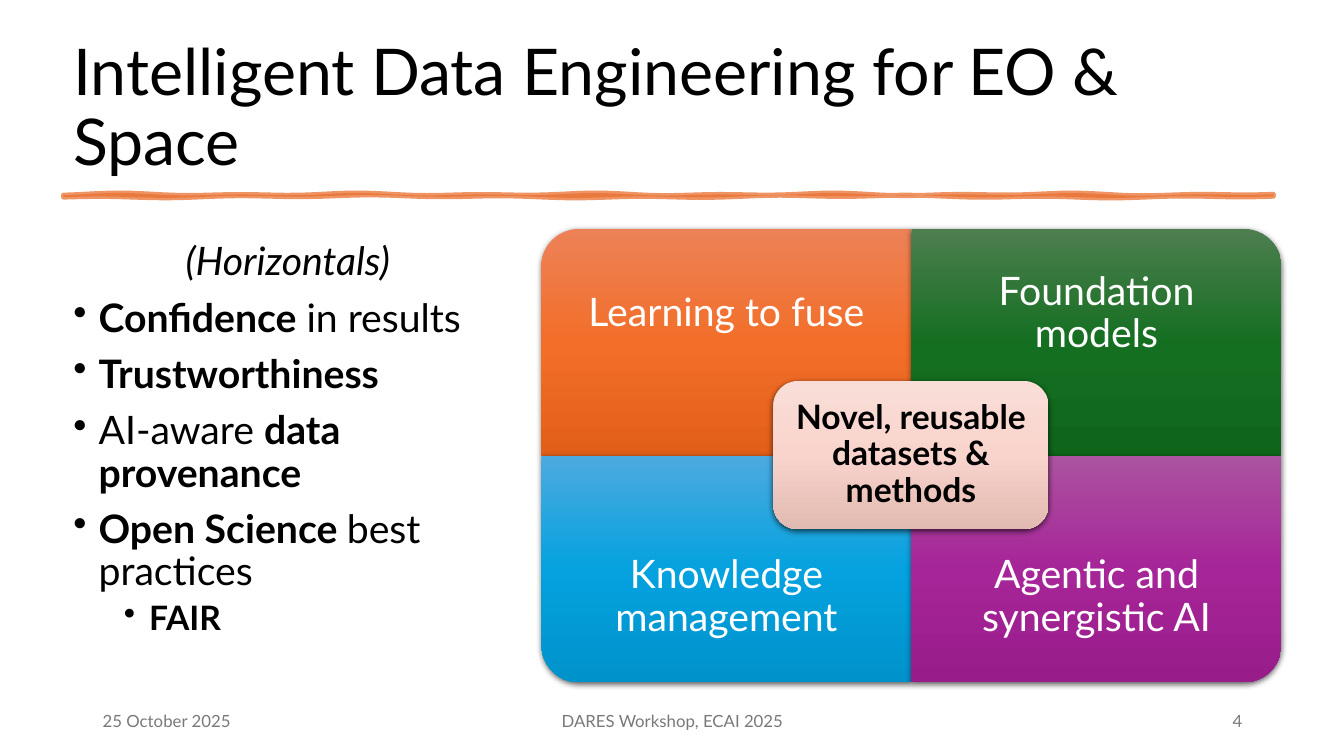
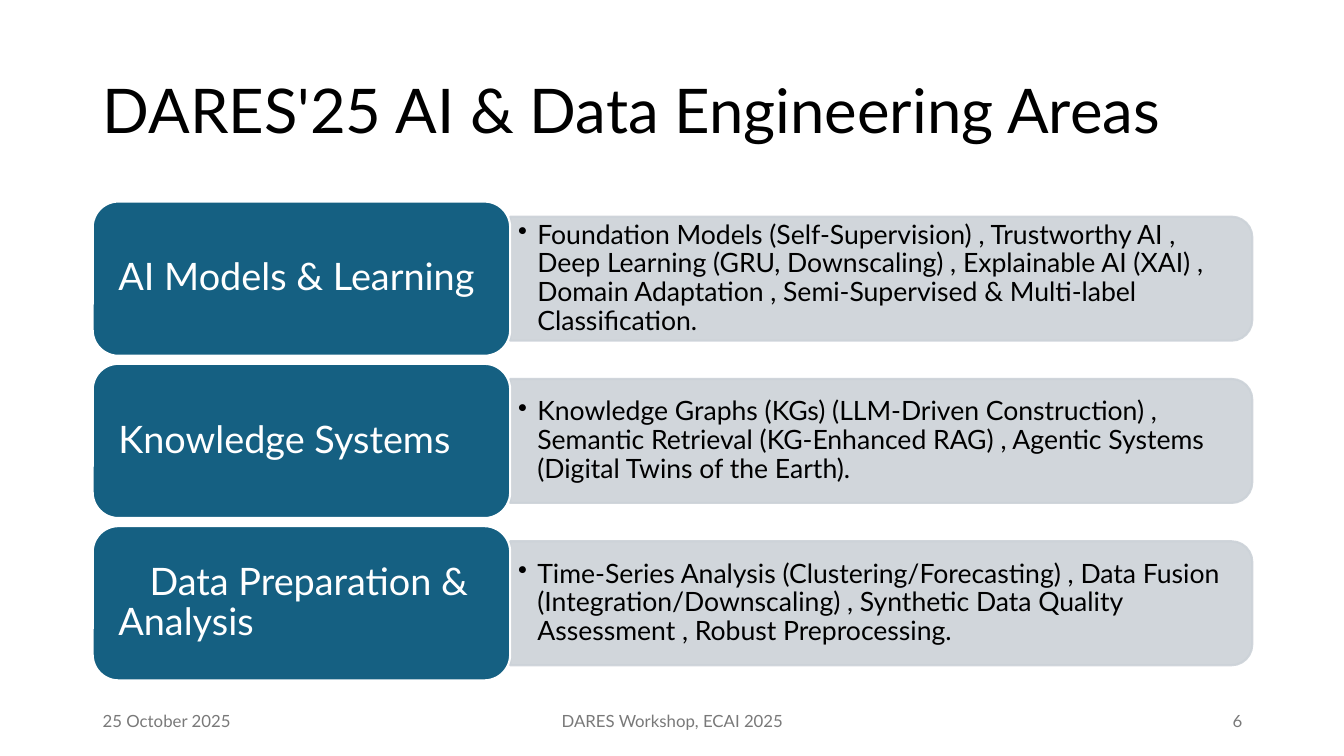
import math

from lxml import etree
from pptx import Presentation
from pptx.dml.color import RGBColor
from pptx.enum.shapes import MSO_SHAPE
from pptx.enum.text import MSO_ANCHOR, PP_ALIGN
from pptx.oxml import parse_xml
from pptx.oxml.ns import nsdecls, qn
from pptx.util import Inches, Pt

LEFT, CENTER, RIGHT = PP_ALIGN.LEFT, PP_ALIGN.CENTER, PP_ALIGN.RIGHT
TOP, MIDDLE, BOTTOM = MSO_ANCHOR.TOP, MSO_ANCHOR.MIDDLE, MSO_ANCHOR.BOTTOM
ROUND_RECT = MSO_SHAPE.ROUNDED_RECTANGLE
ROUND_ONE = MSO_SHAPE.ROUND_1_RECTANGLE
ROUND_SAME = MSO_SHAPE.ROUND_2_SAME_RECTANGLE

FONT = "Lato"
BLACK = RGBColor(0x00, 0x00, 0x00)
WHITE = RGBColor(0xFF, 0xFF, 0xFF)
FOOTER_GREY = RGBColor(0x79, 0x79, 0x79)
ORANGE = RGBColor(0xE9, 0x71, 0x32)
BAR_GREY = RGBColor(0xCC, 0xD2, 0xD8)
TEAL = RGBColor(0x15, 0x60, 0x82)

ORANGE_FADE = [RGBColor(0xED, 0x82, 0x57), RGBColor(0xF2, 0x6E, 0x29), RGBColor(0xE2, 0x5F, 0x1A)]
GREEN_FADE = [RGBColor(0x4D, 0x7E, 0x50), RGBColor(0x15, 0x6F, 0x21), RGBColor(0x0F, 0x66, 0x1B)]
BLUE_FADE = [RGBColor(0x4C, 0xAA, 0xDF), RGBColor(0x05, 0xA2, 0xDF), RGBColor(0x00, 0x92, 0xCB)]
PURPLE_FADE = [RGBColor(0xAC, 0x53, 0xA0), RGBColor(0xA6, 0x25, 0x98), RGBColor(0x99, 0x1C, 0x8B)]
PINK_FADE = [RGBColor(0xF9, 0xDE, 0xD8), RGBColor(0xF9, 0xD4, 0xCC), RGBColor(0xE1, 0xBA, 0xB1)]

prs = Presentation()
prs.slide_width, prs.slide_height = Inches(13.33), Inches(7.5)


def put_text(sp, paragraphs, size, color=BLACK, align=LEFT, anchor=MIDDLE,
             inset=(0.1, 0.05), bold=None, spacing=0.9):
    tf = sp.text_frame
    tf.word_wrap = True
    tf.vertical_anchor = anchor
    tf.margin_left = tf.margin_right = Inches(inset[0])
    tf.margin_top = tf.margin_bottom = Inches(inset[1])
    for i, runs in enumerate(paragraphs):
        p = tf.add_paragraph() if i else tf.paragraphs[0]
        p.alignment, p.line_spacing = align, spacing
        p.font.name, p.font.size, p.font.bold = FONT, Pt(size), bold
        p.font.color.rgb = color
        for text, strong in runs:
            r = p.add_run()
            r.text = text
            if strong:
                r.font.bold = True
    return tf.paragraphs


def add_bullet(p, margin, hang):
    pPr = p._p.get_or_add_pPr()
    pPr.set("marL", str(Inches(margin)))
    pPr.set("indent", str(-Inches(hang)))
    bullet = parse_xml(f'<a:buChar {nsdecls("a")} char="•"/>')
    pPr.insert_element_before(bullet, "a:tabLst", "a:defRPr", "a:extLst")


TITLES = [
    ("Intelligent Data Engineering for EO & Space", 46, (0.63, 0.26, 12.08, 1.57), BOTTOM, "4"),
    ("DARES'25 AI & Data Engineering Areas", 44, (0.92, 0.4, 11.5, 1.45), MIDDLE, "6"),
]
slides = []
for title, size, box, anchor, number in TITLES:
    s = prs.slides.add_slide(prs.slide_layouts[6])
    slides.append(s)
    sp = s.shapes.add_textbox(*map(Inches, box))
    put_text(sp, [[(title, False)]], size, anchor=anchor)
    for text, x, w, align in [("25 October 2025", 0.92, 3, LEFT),
                              ("DARES Workshop, ECAI 2025", 4.42, 4.5, CENTER),
                              (number, 9.42, 3, RIGHT)]:
        sp = s.shapes.add_textbox(Inches(x), Inches(6.95), Inches(w), Inches(0.4))
        put_text(sp, [[(text, False)]], 12, FOOTER_GREY, align, spacing=1)
horizontals, areas = slides
translucent = []

STEPS = 120
xs = [0.63 + 12 * i / STEPS for i in range(STEPS + 1)]
upper = [(Inches(x), Inches(1.93 + 0.015 * math.sin(4 * x) * math.sin(1.3 * x))) for x in xs]
lower = [(Inches(x), Inches(1.95 + 0.015 * math.sin(3 * x) * math.cos(1.7 * x))) for x in xs]
rule = horizontals.shapes.build_freeform(*upper[0])
rule.add_line_segments(upper[1:] + lower[::-1], close=True)
sp = rule.convert_to_shape()
sp.shadow.inherit = False
sp.fill.solid()
sp.fill.fore_color.rgb = sp.line.color.rgb = ORANGE
sp.line.width = Pt(3.5)
translucent.append((sp, 75))

points = [
    [("(Horizontals)", False)],
    [("Confidence", True), (" in results", False)],
    [("Trustworthiness", True)],
    [("AI-aware ", False), ("data provenance", True)],
    [("Open Science ", True), ("best practices", False)],
    [("FAIR", True)],
]
sp = horizontals.shapes.add_textbox(Inches(0.63), Inches(2.35), Inches(4.45), Inches(4.42))
heading, *bullets = put_text(sp, points, 28, anchor=TOP)
heading.alignment = CENTER
heading.font.italic = True
for p in bullets:
    p.space_before = Pt(10)
    add_bullet(p, 0.25, 0.25)
fair = bullets[-1]
fair.level = 1
fair.space_before = Pt(5)
fair.font.size = Pt(24)
fair._p.pPr.set("marL", str(Inches(0.75)))

GRID_X, GRID_Y, CELL_W, CELL_H = 5.37, 2.27, 3.67, 2.25
LABEL_H = CELL_H * 0.75
tiles = []
for text, col, row, turn, fade in [
    ("Learning to fuse", 0, 0, 270, ORANGE_FADE),
    ("Foundation models", 1, 0, 0, GREEN_FADE),
    ("Knowledge management", 0, 1, 180, BLUE_FADE),
    ("Agentic and synergistic AI", 1, 1, 90, PURPLE_FADE),
]:
    x, y = GRID_X + col * CELL_W, GRID_Y + row * CELL_H
    label = (x, y + row * (CELL_H - LABEL_H), CELL_W, LABEL_H)
    tiles.append((text, ROUND_ONE, (x, y, CELL_W, CELL_H), turn, fade, label, 28, WHITE, 0.22, None))
hub = (7.67, 3.78, 2.73, 1.47)
tiles.append(("Novel, reusable datasets & methods", ROUND_RECT, hub, 0, PINK_FADE,
              hub, 24, BLACK, 0.17, True))

for text, kind, (x, y, w, h), turn, fade, label, size, color, inset, bold in tiles:
    sw, sh = (h, w) if turn % 180 else (w, h)
    sp = horizontals.shapes.add_shape(kind, Inches(x + (w - sw) / 2), Inches(y + (h - sh) / 2),
                                      Inches(sw), Inches(sh))
    sp.rotation = turn
    sp.line.fill.background()
    sp.fill.gradient()
    spPr = sp._element.spPr
    stops = "".join(f'<a:gs pos="{i * 50000}"><a:srgbClr val="{c}"/></a:gs>'
                    for i, c in enumerate(fade))
    spPr.replace(spPr.find(qn("a:gradFill")), parse_xml(
        f'<a:gradFill {nsdecls("a")} rotWithShape="0"><a:gsLst>{stops}</a:gsLst>'
        '<a:lin ang="5400000" scaled="0"/></a:gradFill>'))
    sp.shadow.inherit = False
    spPr.find(qn("a:effectLst")).append(parse_xml(
        f'<a:outerShdw {nsdecls("a")} blurRad="{Pt(4.5)}" dist="{Pt(1.5)}" dir="5400000" '
        'algn="ctr" rotWithShape="0"><a:srgbClr val="000000"><a:alpha val="63000"/>'
        '</a:srgbClr></a:outerShdw>'))
    sp = horizontals.shapes.add_textbox(*map(Inches, label))
    put_text(sp, [[(text, False)]], size, color, CENTER, inset=(inset, inset), bold=bold)

ROW_Y, ROW_STEP, ROW_H = 2, 1.61, 1.53
HEAD_X, HEAD_W = 0.92, 4.14
BAR_X, BAR_W, BAR_H = HEAD_X + HEAD_W, 7.36, 1.23
rows = [
    ("AI Models & Learning", 0,
     "Foundation Models (Self-Supervision) , Trustworthy AI , Deep Learning (GRU, Downscaling) , "
     "Explainable AI (XAI) , Domain Adaptation , Semi-Supervised & Multi-label Classification."),
    ("Knowledge Systems", 0,
     "Knowledge Graphs (KGs) (LLM-Driven Construction) , Semantic Retrieval (KG-Enhanced RAG) , "
     "Agentic Systems (Digital Twins of the Earth)."),
    ("Data Preparation & Analysis", 0.31,
     "Time-Series Analysis (Clustering/Forecasting) , Data Fusion (Integration/Downscaling) , "
     "Synthetic Data Quality Assessment , Robust Preprocessing."),
]
for i, (area, indent, topics) in enumerate(rows):
    y = ROW_Y + i * ROW_STEP
    mid = y + ROW_H / 2
    bar = areas.shapes.add_shape(ROUND_SAME, Inches(BAR_X + (BAR_W - BAR_H) / 2),
                                 Inches(mid - BAR_W / 2), Inches(BAR_H), Inches(BAR_W))
    bar.rotation = 90
    head = areas.shapes.add_shape(ROUND_RECT, Inches(HEAD_X), Inches(y),
                                  Inches(HEAD_W), Inches(ROW_H))
    for sp, fill, line in [(bar, BAR_GREY, BAR_GREY), (head, TEAL, WHITE)]:
        sp.shadow.inherit = False
        sp.fill.solid()
        sp.fill.fore_color.rgb = fill
        sp.line.color.rgb = line
        sp.line.width = Pt(1.5)
    translucent.append((bar, 90))
    p = put_text(head, [[(area, False)]], 27, WHITE, inset=(0.18, 0.13))[0]
    p._p.pPr.set("indent", str(Inches(indent)))
    sp = areas.shapes.add_textbox(Inches(BAR_X), Inches(mid - 0.555), Inches(7.3), Inches(1.11))
    p = put_text(sp, [[(topics, False)]], 19, inset=(0.08, 0.04))[0]
    add_bullet(p, 0.19, 0.19)

for sp, opacity in translucent:
    for clr in sp._element.spPr.iter(qn("a:srgbClr")):
        etree.SubElement(clr, qn("a:alpha")).set("val", str(opacity * 1000))

prs.save("out.pptx")
